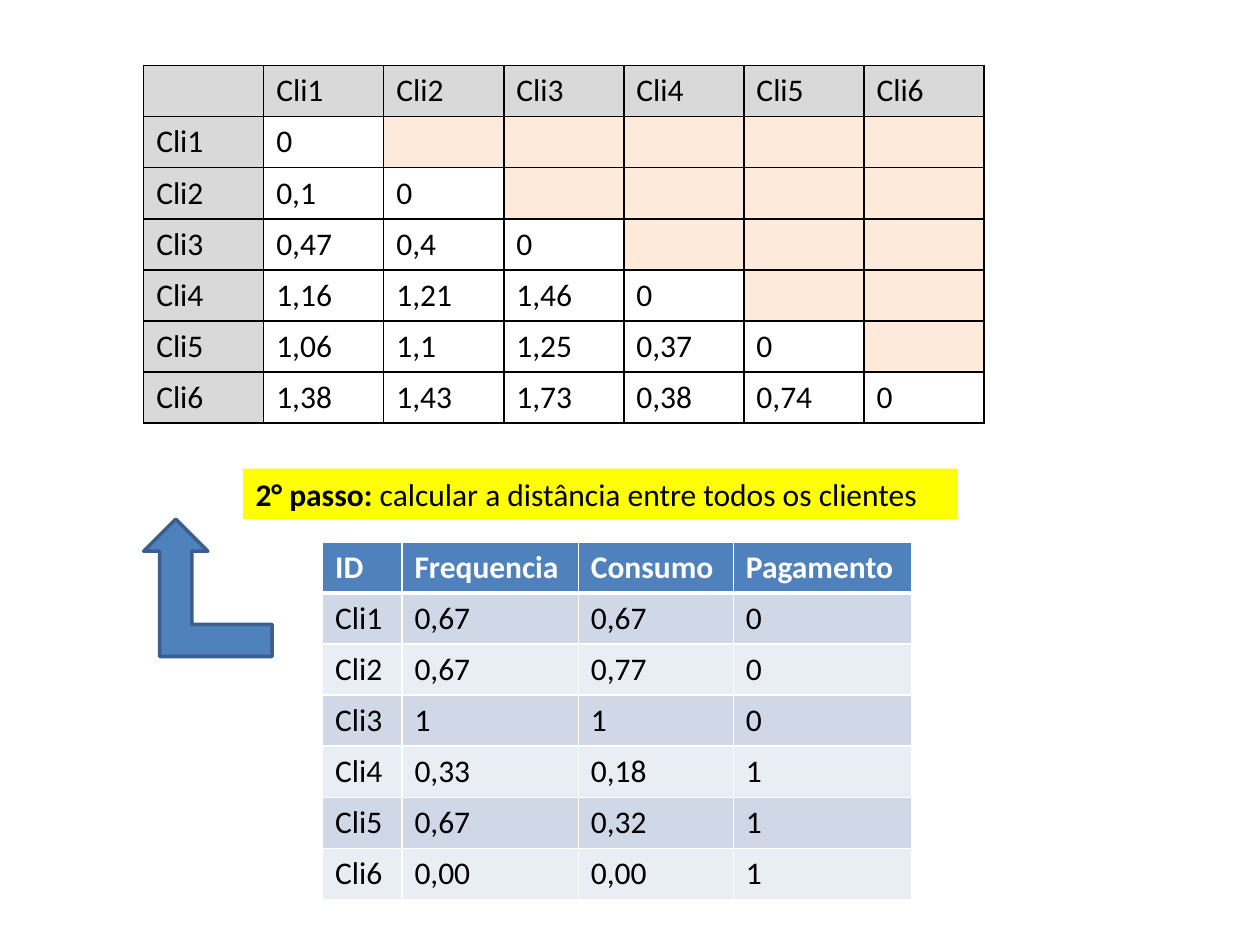
from lxml import etree
from pptx import Presentation
from pptx.dml.color import RGBColor
from pptx.enum import shapes, text
from pptx.oxml import ns
from pptx.util import Inches, Pt

COLORS = {
    "black": "000000", "white": "FFFFFF", "header": "D9D9D9",
    "upper": "FDEADA", "blue": "4F81BD", "outline": "3A5F8C",
    "odd": "D0D8E8", "even": "E9EDF4", "yellow": "FFFF00",
}
CLIENTS = [f"Cli{i}" for i in range(1, 7)]
DISTANCES = [
    ["0"],
    ["0,1", "0"],
    ["0,47", "0,4", "0"],
    ["1,16", "1,21", "1,46", "0"],
    ["1,06", "1,1", "1,25", "0,37", "0"],
    ["1,38", "1,43", "1,73", "0,38", "0,74", "0"],
]
ATTRIBUTES = [
    ["0,67", "0,67", "0"],
    ["0,67", "0,77", "0"],
    ["1", "1", "0"],
    ["0,33", "0,18", "1"],
    ["0,67", "0,32", "1"],
    ["0,00", "0,00", "1"],
]


def rgb(name):
    return RGBColor.from_string(COLORS[name])


def add_text(p, value, size=18, color="black", bold=False, font="Calibri"):
    r = p.add_run()
    r.text = value
    r.font.name = font
    r.font.size = Pt(size)
    r.font.bold = bold
    r.font.color.rgb = rgb(color)


def set_borders(cell, color, bottom=1):
    tc_pr = cell._tc.get_or_add_tcPr()
    widths = {"lnL": 1, "lnR": 1, "lnT": 1, "lnB": bottom}
    for i, (side, width) in enumerate(widths.items()):
        ln = etree.Element(ns.qn(f"a:{side}"), w=str(Pt(width)))
        fill = etree.SubElement(ln, ns.qn("a:solidFill"))
        etree.SubElement(fill, ns.qn("a:srgbClr"), val=COLORS[color])
        tc_pr.insert(i, ln)


def fill_cell(cell, value, fill, border, bottom=1, **fmt):
    if fill:
        cell.fill.solid()
        cell.fill.fore_color.rgb = rgb(fill)
    else:
        cell.fill.background()
    set_borders(cell, border, bottom)
    p = cell.text_frame.paragraphs[0]
    if value:
        add_text(p, value, **fmt)
    else:
        p.font.size = Pt(18)


def new_table(s, box, rows, cols):
    table = s.shapes.add_table(rows, cols, *map(Inches, box)).table
    table.first_row = False
    table.horz_banding = False
    return table


def distance_table(s, box):
    n = len(CLIENTS) + 1
    table = new_table(s, box, n, n)
    rows = [[""] + CLIENTS]
    rows += [[c] + d + [""] * (n - 1 - len(d)) for c, d in zip(CLIENTS, DISTANCES)]
    for i, row in enumerate(rows):
        for j, value in enumerate(row):
            if i == 0 or j == 0:
                fill = "header"
            else:
                fill = "upper" if j > i else None
            fill_cell(table.cell(i, j), value, fill, "black")


def attribute_table(s, box):
    widths = [0.63, 1.4, 1.23, 1.42]
    table = new_table(s, box, len(CLIENTS) + 1, len(widths))
    for column, width in zip(table.columns, widths):
        column.width = Inches(width)
    for j, title in enumerate(["ID", "Frequencia", "Consumo", "Pagamento"]):
        fill_cell(table.cell(0, j), title, "blue", "white", bottom=3,
                  color="white", bold=True)
    for i, (client, values) in enumerate(zip(CLIENTS, ATTRIBUTES), 1):
        for j, value in enumerate([client] + values):
            cell = table.cell(i, j)
            fill_cell(cell, value, "odd" if i % 2 else "even", "white")
            if i == 1:
                top = cell._tc.tcPr.find(ns.qn("a:lnT"))
                top.set("w", str(Pt(3)))


def step_arrow(s, box):
    sp = s.shapes.add_shape(shapes.MSO_SHAPE.BENT_UP_ARROW, *map(Inches, box))
    sp.shadow.inherit = False
    sp.fill.solid()
    sp.fill.fore_color.rgb = rgb("blue")
    sp.line.color.rgb = rgb("outline")
    sp.line.width = Pt(2)
    sp._element.spPr.xfrm.set("flipH", "1")


def step_label(s, box):
    sp = s.shapes.add_textbox(*map(Inches, box))
    sp.fill.solid()
    sp.fill.fore_color.rgb = rgb("yellow")
    tf = sp.text_frame
    tf.word_wrap = True
    tf.auto_size = text.MSO_AUTO_SIZE.SHAPE_TO_FIT_TEXT
    p = tf.paragraphs[0]
    add_text(p, "2° passo: ", bold=True)
    add_text(p, "calcular a distância entre todos os clientes")


def main():
    prs = Presentation()
    prs.slide_width, prs.slide_height = Inches(10), Inches(7.5)
    s = prs.slides.add_slide(prs.slide_layouts[6])
    attribute_table(s, (2.56, 4.3, 4.68, 2.84))
    distance_table(s, (1.14, 0.52, 6.67, 2.84))
    step_arrow(s, (1.14, 4.12, 1.02, 1.09))
    step_label(s, (1.93, 3.72, 5.67, 0.4))
    prs.save("out.pptx")


if __name__ == "__main__":
    main()
